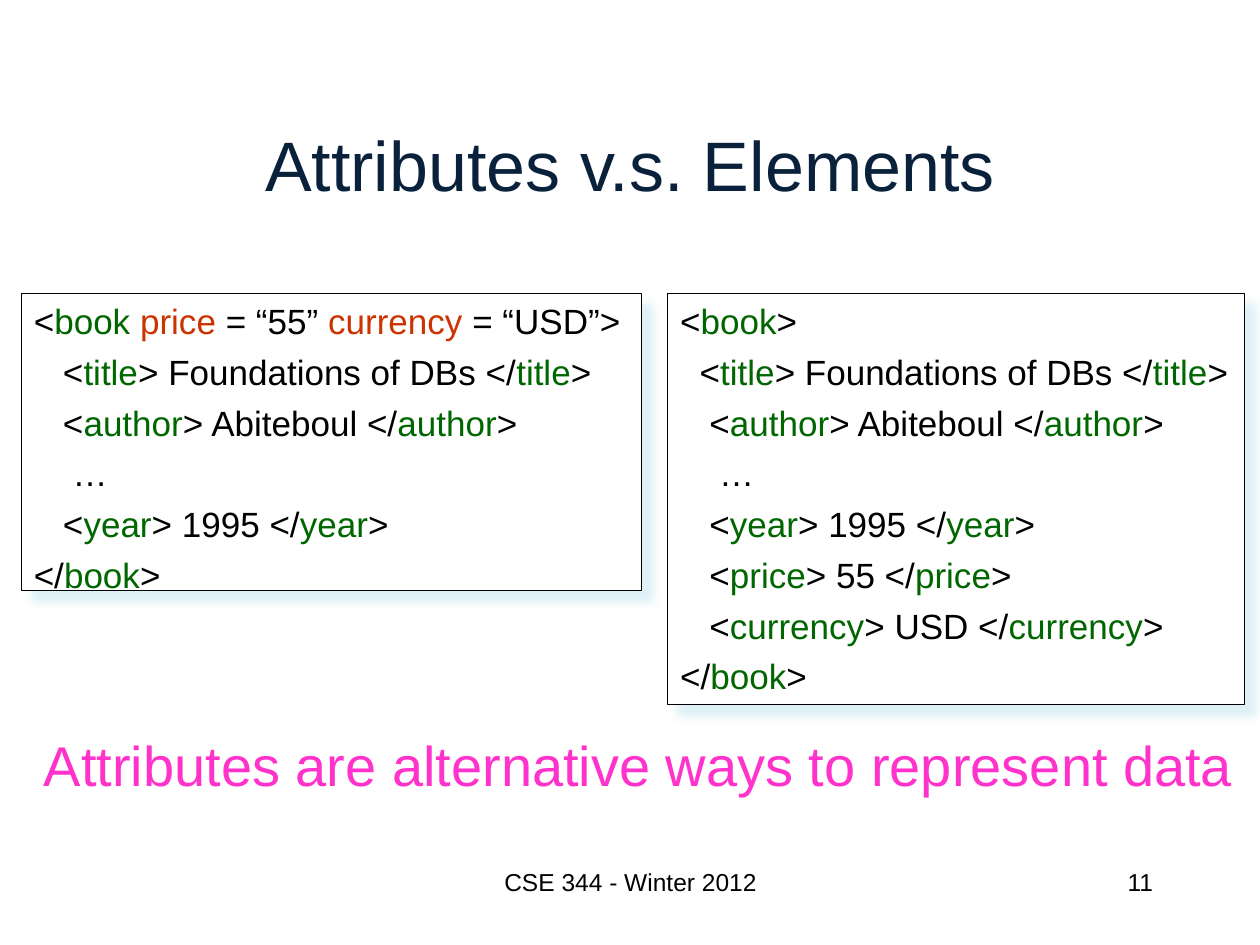
"""Builds a slide comparing XML attributes with XML elements."""
from lxml import etree
from pptx import Presentation
from pptx import util as u
from pptx.dml.color import RGBColor
from pptx.enum import shapes, text
from pptx.oxml.ns import qn

BLACK, WHITE, NAVY, PINK = "000000", "FFFFFF", "09213B", "FF33CC"
GREEN, RED, SHADOW = "006600", "CC3300", "D5EDF4"
ALIGN = text.PP_ALIGN


def color(value):
    return RGBColor.from_string(value)


def element(name, content, indent=3):
    return [(" " * indent + "<", BLACK), (name, GREEN), (f"> {content} </", BLACK),
            (name, GREEN), (">", BLACK)]


class SlideWriter:
    def __init__(self, slide, font="Arial"):
        self.slide = slide
        self.font = font

    def style(self, span, size, value):
        span.font.name = self.font
        span.font.size = u.Pt(size)
        span.font.color.rgb = color(value)

    def label(self, place, words, size, value=BLACK, align=ALIGN.LEFT,
              anchor=text.MSO_ANCHOR.TOP, wrap=True):
        box = self.slide.shapes.add_textbox(*map(u.Inches, place))
        frame = box.text_frame
        frame.word_wrap = wrap
        frame.vertical_anchor = anchor
        frame.text = words
        para = frame.paragraphs[0]
        para.alignment = align
        self.style(para.runs[0], size, value)

    def shadow(self, box):
        box.shadow.inherit = False
        effects = box._element.spPr.find(qn("a:effectLst"))
        outer = etree.SubElement(effects, qn("a:outerShdw"), blurRad=str(u.Pt(5)),
                                 dist=str(u.Pt(8.5)), dir="2700000", algn="ctr",
                                 rotWithShape="0")
        tint = etree.SubElement(outer, qn("a:srgbClr"), val=SHADOW)
        etree.SubElement(tint, qn("a:alpha"), val="75000")

    def code(self, place, lines, wrap=True):
        box = self.slide.shapes.add_shape(shapes.MSO_SHAPE.RECTANGLE, *map(u.Inches, place))
        box.fill.solid()
        box.fill.fore_color.rgb = color(WHITE)
        box.line.color.rgb = color(BLACK)
        box.line.width = u.Pt(0.75)
        self.shadow(box)
        frame = box.text_frame
        frame.word_wrap = wrap
        frame.vertical_anchor = text.MSO_ANCHOR.TOP
        for index, line in enumerate(lines):
            para = frame.add_paragraph() if index else frame.paragraphs[0]
            para.alignment = ALIGN.LEFT
            para.space_before = u.Pt(5 if index else 0)
            indent = u.Inches(0.38)
            properties = para._p.get_or_add_pPr()
            properties.set("marL", str(indent))
            properties.set("indent", str(-indent))
            for words, value in line:
                span = para.add_run()
                span.text = words
                self.style(span, 20, value)


def main():
    deck = Presentation()
    deck.slide_width, deck.slide_height = u.Inches(10), u.Inches(7.5)
    writer = SlideWriter(deck.slides.add_slide(deck.slide_layouts[6]))

    opening = [("<", BLACK), ("book", GREEN), (">", BLACK)]
    opening_with_attributes = [("<", BLACK), ("book ", GREEN), ("price", RED),
                               (" = “55” ", BLACK), ("currency", RED),
                               (" = “USD”>", BLACK)]
    closing = [("</", BLACK), ("book", GREEN), (">", BLACK)]
    title = "Foundations of DBs"
    shared = [element("author", "Abiteboul"), [("    …", BLACK)], element("year", "1995")]

    writer.label((0.75, 0.67, 8.5, 1.25), "Attributes v.s. Elements", 40, NAVY,
                 ALIGN.CENTER, text.MSO_ANCHOR.MIDDLE)
    writer.code((0.17, 2.33, 4.92, 2.36),
                [opening_with_attributes, element("title", title), *shared, closing])
    writer.code((5.3, 2.33, 4.58, 3.26),
                [opening, element("title", title, 2), *shared, element("price", "55"),
                 element("currency", "USD"), closing], wrap=False)
    writer.label((0.25, 5.75, 9.73, 0.64),
                 "Attributes are alternative ways to represent data", 32, PINK, wrap=False)
    writer.label((3.42, 6.83, 3.17, 0.5), "CSE 344 - Winter 2012", 14, align=ALIGN.CENTER)
    writer.label((7.17, 6.83, 2.08, 0.5), "11", 14, align=ALIGN.RIGHT)
    deck.save("out.pptx")


if __name__ == "__main__":
    main()
